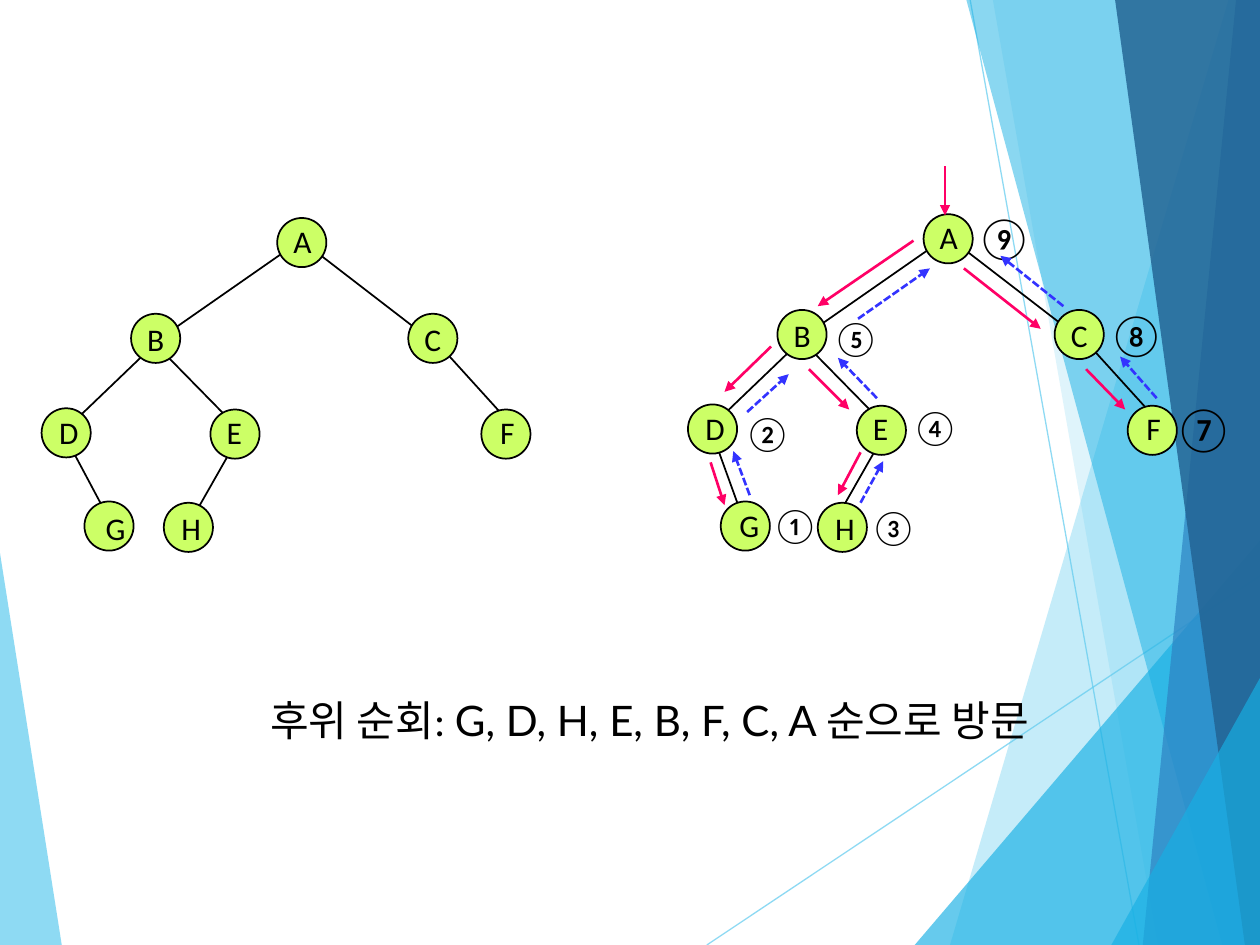
from typing import NamedTuple

from lxml import etree
from pptx import Presentation
from pptx import util as u
from pptx.dml.color import RGBColor
from pptx.enum import dml, shapes, text
from pptx.oxml.ns import qn

Point = tuple[float, float]
BLACK, LIME, PINK, BLUE = "000000", "CCFF66", "FF0066", "3333FF"
SKY, CYAN, STEEL, NAVY = "5FCBEF", "17B0E4", "2E83C3", "226292"
NODE = 0.39


class Facet(NamedTuple):
    points: list[Point]
    color: str
    opacity: int


class Node(NamedTuple):
    name: str
    x: float
    y: float
    dx: float
    dy: float
    label_width: float = 0.31


class Arrow(NamedTuple):
    start: Point
    end: Point


class Badge(NamedTuple):
    mark: str
    x: float
    y: float
    width: float = 0.48
    height: float = 0.44
    size: int = 20
    font: str = "Calibri"
    wrap: bool = False


def cm(inches: float) -> u.Length:
    return u.Cm(inches * 2.54)


def paint(fmt, color: str, opacity: int = 100) -> None:
    fmt.solid()
    fmt.fore_color.rgb = RGBColor.from_string(color)
    if opacity < 100:
        for clr in fmt._xPr.iter(qn("a:srgbClr")):
            etree.SubElement(clr, qn("a:alpha"), val=str(opacity * 1000))


def add_line(start: Point, end: Point, color: str = BLACK, width: float = 1,
             opacity: int = 100, arrow: bool = False, dashed: bool = False) -> None:
    sp = slide.shapes.add_connector(shapes.MSO_CONNECTOR.STRAIGHT,
                                    *map(cm, start + end))
    sp.line.width = u.Pt(width)
    paint(sp.line.fill, color, opacity)
    if dashed:
        sp.line.dash_style = dml.MSO_LINE.SQUARE_DOT
    if arrow:
        etree.SubElement(sp.line._get_or_add_ln(), qn("a:tailEnd"), type="triangle")
    etree.SubElement(sp._element.spPr, qn("a:effectLst"))


def add_facet(facet: Facet) -> None:
    first, *rest = [(cm(x), cm(y)) for x, y in facet.points]
    builder = slide.shapes.build_freeform(*first)
    builder.add_line_segments(rest, close=True)
    sp = builder.convert_to_shape()
    sp.shadow.inherit = False
    paint(sp.fill, facet.color, facet.opacity)
    sp.line.fill.background()


def add_text(x: float, y: float, width: float, height: float,
             runs: list[tuple[str, str]], size: int, centred: bool = True,
             middle: bool = False, wrap: bool = True) -> None:
    tf = slide.shapes.add_textbox(*map(cm, (x, y, width, height))).text_frame
    tf.word_wrap = wrap
    tf.auto_size = text.MSO_AUTO_SIZE.SHAPE_TO_FIT_TEXT
    if middle:
        tf.vertical_anchor = text.MSO_ANCHOR.MIDDLE
    p = tf.paragraphs[0]
    p.alignment = text.PP_ALIGN.CENTER if centred else text.PP_ALIGN.LEFT
    for words, font in runs:
        r = p.add_run()
        r.text = words
        r.font.name = font
        r.font.size = u.Pt(size)
        paint(r.font.fill, BLACK)


def add_tree(dx: float, dy: float, leaves: list[Node], g_edge_end: Point) -> None:
    for start, end in EDGES:
        add_line((start[0] + dx, start[1] + dy), (end[0] + dx, end[1] + dy))
    add_line((0.53 + dx, 3.49 + dy), g_edge_end)
    nodes = [n._replace(x=n.x + dx, y=n.y + dy) for n in BRANCHES] + leaves
    for n in nodes:
        sp = slide.shapes.add_shape(shapes.MSO_SHAPE.OVAL,
                                    *map(cm, (n.x, n.y, NODE, NODE)))
        sp.shadow.inherit = False
        paint(sp.fill, LIME)
        paint(sp.line.fill, BLACK)
        sp.line.width = u.Pt(1)
    for n in nodes:
        add_text(n.x + n.dx, n.y + n.dy, n.label_width, 0.4,
                 [(n.name, "Calibri")], 18, middle=True)


FACETS = [
    Facet([(0, 4.39), (0.49, 7.5), (0, 7.5)], SKY, 70),
    Facet([(9.75, 0), (7.54, 7.5), (10, 7.5), (10, 0)], SKY, 36),
    Facet([(7.88, 0), (9.19, 7.5), (10, 7.5), (10, 0)], SKY, 20),
    Facet([(7.26, 7.5), (10, 4.29), (10, 7.5)], CYAN, 66),
    Facet([(7.67, 0), (9.7, 7.5), (10, 7.5), (10, 0)], CYAN, 50),
    Facet([(9.81, 0), (9.07, 7.5), (10, 7.5), (10, 0)], STEEL, 70),
    Facet([(8.85, 0), (9.88, 7.5), (10, 7.5), (10, 0)], NAVY, 82),
    Facet([(8.82, 7.5), (10, 5.38), (10, 7.5)], CYAN, 66),
]
EDGES = [
    ((1.87, 3.51), (1.54, 4.09)),
    ((1.3, 2.8), (1.84, 3.35)),
    ((3.46, 2.71), (4.14, 3.46)),
    ((1.25, 2.71), (0.51, 3.42)),
    ((2.37, 1.92), (1.25, 2.7)),
    ((2.42, 1.93), (3.42, 2.7)),
]
BRANCHES = [
    Node("A", 2.2, 1.73, 0.03, -0.02),
    Node("B", 1.04, 2.49, 0.03, 0),
    Node("C", 3.24, 2.49, 0.03, 0),
    Node("D", 0.33, 3.24, 0.04, -0.01),
    Node("E", 1.67, 3.25, 0.03, -0.02),
    Node("F", 3.82, 3.25, 0.05, -0.02),
]
DESCENTS = [
    Arrow((7.5, 1.32), (7.5, 1.71)),
    Arrow((7.25, 1.91), (6.49, 2.43)),
    Arrow((6.12, 2.75), (5.75, 3.11)),
    Arrow((5.64, 3.67), (5.75, 4.01)),
    Arrow((6.42, 2.93), (6.74, 3.25)),
    Arrow((6.83, 3.59), (6.65, 3.93)),
    Arrow((7.65, 2.13), (8.26, 2.61)),
    Arrow((8.62, 2.93), (8.93, 3.25)),
]
RETURNS = [
    Arrow((5.95, 3.93), (5.82, 3.58)),
    Arrow((5.93, 3.27), (6.26, 2.97)),
    Arrow((6.83, 3.99), (7.01, 3.66)),
    Arrow((6.96, 3.16), (6.65, 2.84)),
    Arrow((6.81, 2.53), (7.38, 2.13)),
    Arrow((9.18, 3.16), (8.89, 2.83)),
    Arrow((8.44, 2.43), (7.94, 2.03)),
]
BADGES = [
    Badge("①", 6.03, 3.95),
    Badge("②", 5.81, 3.22),
    Badge("③", 6.81, 3.96),
    Badge("④", 7.14, 3.17),
    Badge("⑤", 6.51, 2.46),
    Badge("⑦", 9.27, 3.15, 0.5, 0.5, 24, "Lato"),
    Badge("⑧", 8.7, 2.4, 0.45, 0.51, 24, wrap=True),
    Badge("⑨", 7.65, 1.63, 0.5, 0.5, 24),
]

prs = Presentation()
prs.slide_width, prs.slide_height = u.Cm(25.4), u.Cm(19.05)
slide = prs.slides.add_slide(prs.slide_layouts[6])

add_facet(FACETS[0])
add_line((5.61, 7.5), (10, 4.57), SKY, 0.75, 70)
add_line((7.7, 0), (9.04, 7.5), SKY, 0.75, 70)
for facet in FACETS[1:]:
    add_facet(facet)

add_tree(0, 0, [Node("G", 0.67, 3.98, 0.07, 0.01, 0.27),
                Node("H", 1.3, 3.99, 0.04, 0)], (0.85, 4.09))
add_tree(5.13, -0.03, [Node("G", 5.72, 3.98, 0.05, -0.01, 0.27),
                       Node("H", 6.49, 3.99, 0.04, 0)], (5.87, 4.04))

for b in BADGES:
    add_text(b.x, b.y, b.width, b.height, [(b.mark, b.font)], b.size,
             centred=False, wrap=b.wrap)
for a in DESCENTS:
    add_line(a.start, a.end, PINK, 1.5, arrow=True)
for a in RETURNS:
    add_line(a.start, a.end, BLUE, 1.5, arrow=True, dashed=True)

add_text(0.67, 5.46, 8.97, 0.5, [("후위 순회: ", "Calibri"),
                                 ("G, D, H, E, B, F, C, A ", "Lato"),
                                 ("순으로 방문", "Calibri")], 24)
prs.save("out.pptx")
